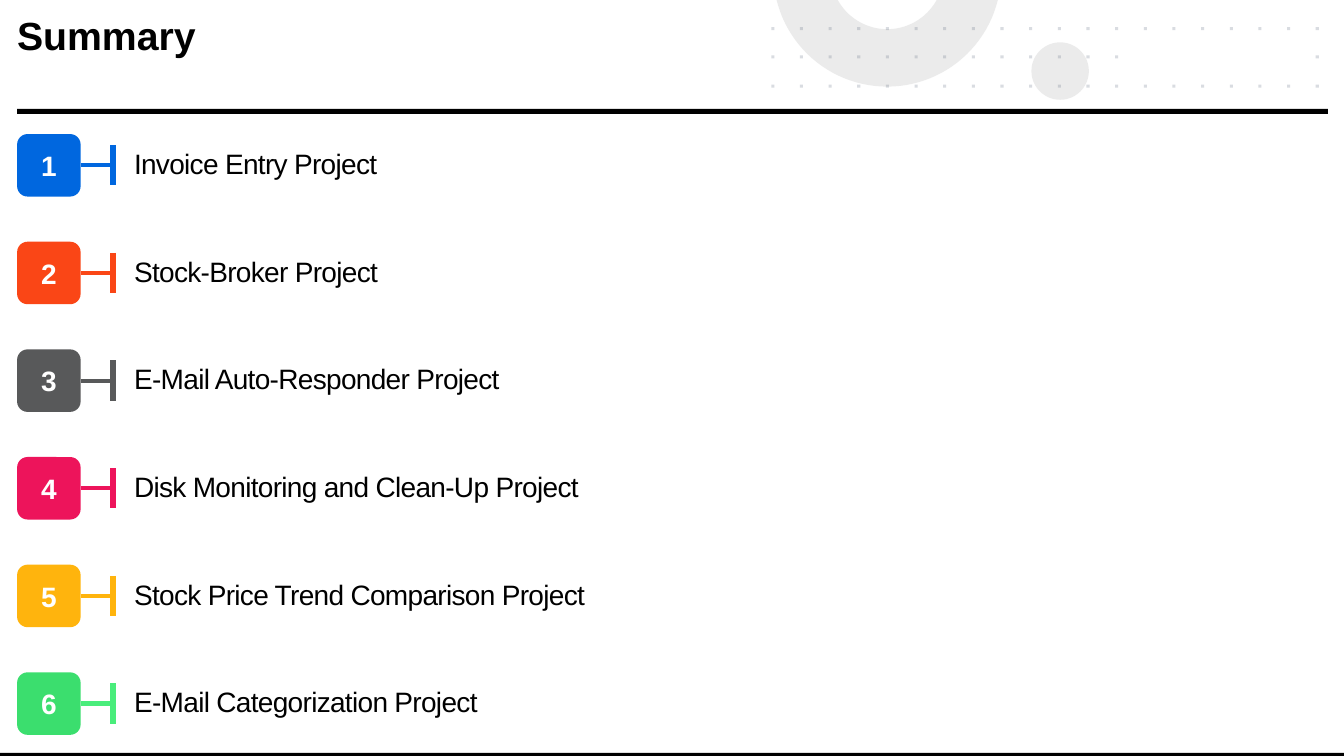
import math

import pptx
import pptx.dml.color
import pptx.enum.shapes
import pptx.enum.text
import pptx.oxml
import pptx.oxml.ns
import pptx.util

Inches = pptx.util.Inches
Pt = pptx.util.Pt
RGBColor = pptx.dml.color.RGBColor
MSO_SHAPE = pptx.enum.shapes.MSO_SHAPE
MSO_ANCHOR = pptx.enum.text.MSO_ANCHOR
PP_ALIGN = pptx.enum.text.PP_ALIGN

BLACK = RGBColor(0x00, 0x00, 0x00)
WHITE = RGBColor(0xFF, 0xFF, 0xFF)
PALE_GRAY = RGBColor(0xD9, 0xD9, 0xD9)
SLATE = RGBColor(0x44, 0x54, 0x6A)
BLUE = RGBColor(0x00, 0x67, 0xDF)
ORANGE = RGBColor(0xFA, 0x46, 0x16)
GRAY = RGBColor(0x58, 0x59, 0x5A)
PINK = RGBColor(0xED, 0x14, 0x5B)
YELLOW = RGBColor(0xFF, 0xB4, 0x0D)
GREEN = RGBColor(0x3B, 0xDE, 0x6E)
LIGHT_GREEN = RGBColor(0x49, 0xED, 0x7B)

# Project name, badge colour, line colour
PROJECTS = [
    ("Invoice Entry Project", BLUE, BLUE),
    ("Stock-Broker Project", ORANGE, ORANGE),
    ("E-Mail Auto-Responder Project", GRAY, GRAY),
    ("Disk Monitoring and Clean-Up Project", PINK, PINK),
    ("Stock Price Trend Comparison Project", YELLOW, YELLOW),
    ("E-Mail Categorization Project", GREEN, LIGHT_GREEN),
]
FIRST_TOP, LAST_TOP = 1.33, 6.67
ROW_PITCH = (LAST_TOP - FIRST_TOP) / (len(PROJECTS) - 1)
BADGE_HEIGHT = 0.62

DOT_LEFT, DOT_RIGHT, DOT_COLUMNS = 7.65, 13.05, 20
DOT_PITCH = (DOT_RIGHT - DOT_LEFT) / (DOT_COLUMNS - 1)
DOT_ROWS = (0.27, 0.55, 0.84)
DOT_SIZE = 0.03
DOT_BLOCKS = (range(0, 6), range(6, 12), range(12, 14), range(14, 20))
MIDDLE_ROW_GAP = range(13, 19)


def paint(sp, color, alpha=100):
    sp.shadow.inherit = False
    sp.fill.solid()
    sp.fill.fore_color.rgb = color
    sp.line.fill.background()
    if alpha < 100:
        clr = sp.fill._xPr.find(".//" + pptx.oxml.ns.qn("a:srgbClr"))
        clr.append(pptx.oxml.parse_xml(
            f'<a:alpha {pptx.oxml.ns.nsdecls("a")} val="{alpha * 1000}"/>'))


def add_block(s, kind, left, top, width, height, color, alpha=100):
    sp = s.shapes.add_shape(
        kind, Inches(left), Inches(top), Inches(width), Inches(height))
    paint(sp, color, alpha)
    return sp


def add_outlines(s, outlines, color, alpha):
    """Draw closed outlines, given in inches, as one shape."""
    builder = None
    for outline in outlines:
        points = [(Inches(x), Inches(y)) for x, y in outline]
        if builder is None:
            builder = s.shapes.build_freeform(*points[0])
        else:
            builder.move_to(*points[0])
        builder.add_line_segments(points[1:], close=True)
    paint(builder.convert_to_shape(), color, alpha)


def write(p, text, size, color, bold=False):
    r = p.add_run()
    r.text = text
    p.font.name = "Arial"
    p.font.size = Pt(size)
    p.font.bold = bold
    p.font.color.rgb = color
    return r


def add_text(s, left, top, width, height, text, size, spacing,
             bold=False, anchor=MSO_ANCHOR.TOP, tracking=0):
    sp = s.shapes.add_textbox(
        Inches(left), Inches(top), Inches(width), Inches(height))
    tf = sp.text_frame
    tf.word_wrap = True
    tf.vertical_anchor = anchor
    tf.margin_left = tf.margin_top = tf.margin_right = tf.margin_bottom = 0
    p = tf.paragraphs[0]
    p.line_spacing = spacing
    r = write(p, text, size, BLACK, bold)
    if tracking:
        r._r.get_or_add_rPr().set("spc", str(round(tracking * 100)))


def add_line(s, x1, y1, x2, y2, color, width):
    line = s.shapes.add_connector(
        pptx.enum.shapes.MSO_CONNECTOR.STRAIGHT,
        Inches(x1), Inches(y1), Inches(x2), Inches(y2))
    line.line.color.rgb = color
    line.line.width = Pt(width)
    line._element.spPr.append(pptx.oxml.parse_xml(
        f'<a:effectLst {pptx.oxml.ns.nsdecls("a")}/>'))
    return line


def arc_below_edge(cx, cy, radius, steps=48):
    """Points of the part of a circle below the slide's top edge, right to left."""
    start = math.asin(-cy / radius)
    sweep = math.pi - 2 * start
    angles = [start + sweep * i / steps for i in range(steps + 1)]
    return [(cx + radius * math.cos(a), cy + radius * math.sin(a)) for a in angles]


def dot(column, row):
    x, y = DOT_LEFT + column * DOT_PITCH, DOT_ROWS[row]
    return [(x, y), (x + DOT_SIZE, y),
            (x + DOT_SIZE, y + DOT_SIZE), (x, y + DOT_SIZE)]


def add_decoration(s):
    # Small disc and the ring cut by the top edge
    add_block(s, MSO_SHAPE.OVAL, 10.23, 0.42, 0.57, 0.57, PALE_GRAY, 50)
    outer = arc_below_edge(8.8, -0.27, 1.13)
    inner = arc_below_edge(8.8, -0.27, 0.56)
    add_outlines(s, [outer + inner[::-1]], PALE_GRAY, 50)

    # Dot grid
    for columns in DOT_BLOCKS:
        dots = [dot(column, row) for row in range(len(DOT_ROWS))
                for column in columns
                if not (row == 1 and column in MIDDLE_ROW_GAP)]
        add_outlines(s, dots, SLATE, 20)


def add_project(s, index, name, badge_color, line_color):
    top = FIRST_TOP + index * ROW_PITCH
    middle = top + BADGE_HEIGHT / 2
    add_text(s, 1.33, top - 0.06, 11.83, 0.75, name, 20, 0.85,
             anchor=MSO_ANCHOR.MIDDLE, tracking=-0.5)

    # Numbered badge
    badge = add_block(s, MSO_SHAPE.ROUNDED_RECTANGLE,
                      0.17, top, 0.63, BADGE_HEIGHT, badge_color)
    badge.text_frame.vertical_anchor = MSO_ANCHOR.MIDDLE
    p = badge.text_frame.paragraphs[0]
    p.alignment = PP_ALIGN.CENTER
    write(p, str(index + 1), 20, WHITE, bold=True)

    # Stem and end bar
    stem = add_line(s, 0.8, middle, 1.12, middle, line_color, 3)
    stem.begin_connect(badge, 3)
    add_line(s, 1.12, middle - 0.2, 1.12, middle + 0.2, line_color, 4.5)


def main():
    prs = pptx.Presentation()
    prs.slide_width, prs.slide_height = Inches(13.33), Inches(7.5)
    s = prs.slides.add_slide(prs.slide_layouts[6])

    add_decoration(s)

    # Bottom edge, header rule and title
    add_block(s, MSO_SHAPE.RECTANGLE, 0, 7.47, 13.33, 0.03, BLACK)
    add_block(s, MSO_SHAPE.RECTANGLE, 0.17, 1.08, 13, 0.05, BLACK)
    add_text(s, 0.17, 0.16, 7.33, 0.82, "Summary", 28, 0.9, bold=True)

    # Project list
    for index, project in enumerate(PROJECTS):
        add_project(s, index, *project)

    prs.save("out.pptx")


if __name__ == "__main__":
    main()
